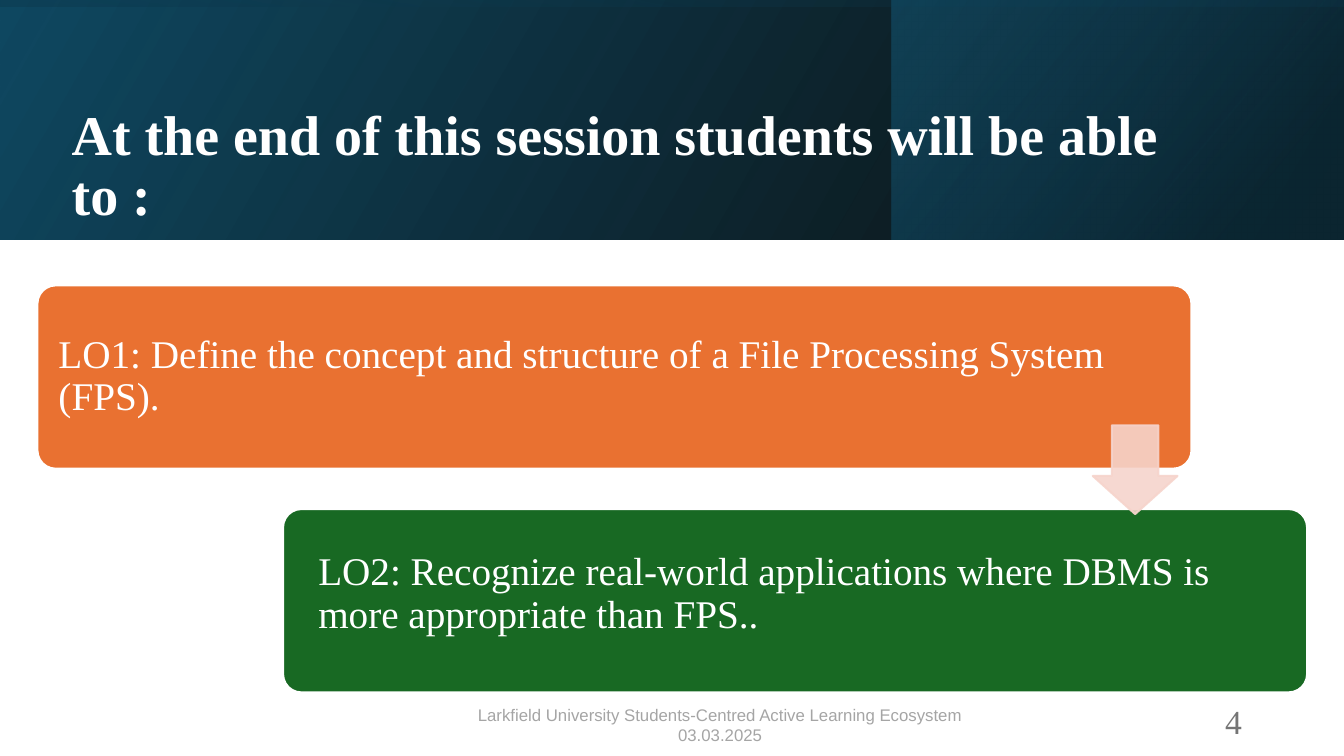
import copy

import pptx
import pptx.dml.color
import pptx.enum.shapes
import pptx.enum.text
import pptx.oxml
import pptx.oxml.ns
import pptx.util

Pt = pptx.util.Pt
SHAPE = pptx.enum.shapes.MSO_SHAPE
ALIGN = pptx.enum.text.PP_ALIGN
ANCHOR = pptx.enum.text.MSO_ANCHOR
SERIF = "Times New Roman"
WIDE, HIGH = 960, 540


def tone(code):
    return pptx.dml.color.RGBColor.from_string(code)


def fade(shape, alphas):
    tag = pptx.oxml.ns.qn("a:srgbClr")
    for node, alpha in zip(list(shape.element.spPr.iter(tag)), alphas):
        mark = pptx.oxml.parse_xml(
            f'<a:alpha {pptx.oxml.ns.nsdecls("a")} val="{alpha * 1000}"/>')
        node.append(mark)


def write(frame, text, size, color, font=SERIF, bold=False, align=ALIGN.LEFT,
          anchor=ANCHOR.MIDDLE, space=1.0, pads=(7.2, 3.6, 7.2, 3.6)):
    frame.word_wrap = True
    frame.auto_size = pptx.enum.text.MSO_AUTO_SIZE.NONE
    frame.vertical_anchor = anchor
    (frame.margin_left, frame.margin_top,
     frame.margin_right, frame.margin_bottom) = map(Pt, pads)
    for at, line in enumerate(text.split("\n")):
        para = frame.paragraphs[0] if at == 0 else frame.add_paragraph()
        para.alignment = align
        para.line_spacing = space
        run = para.add_run()
        run.text = line
        run.font.name, run.font.size, run.font.bold = font, Pt(size), bold
        run.font.color.rgb = tone(color)


def label(slide, box, text, **form):
    frame = slide.shapes.add_textbox(*map(Pt, box)).text_frame
    write(frame, text, **form)


def draw(slide, kind, box, adjust=()):
    shape = slide.shapes.add_shape(kind, *map(Pt, box))
    shape.shadow.inherit = False
    for at, value in enumerate(adjust):
        shape.adjustments[at] = value
    return shape


def tint(shape, color, line):
    shape.fill.solid()
    shape.fill.fore_color.rgb = tone(color)
    shape.line.color.rgb = tone(line)
    shape.line.width = Pt(1.5)


def blend(slide, box, stops, angle, turn=0):
    shape = draw(slide, SHAPE.RECTANGLE, box)
    shape.line.fill.background()
    shape.rotation = turn
    shape.element.spPr.xfrm.set("flipH", "1")
    shape.fill.gradient()
    shape.fill.gradient_angle = 360 - angle
    items = shape.element.spPr.find(".//" + pptx.oxml.ns.qn("a:gsLst"))
    while len(items) < len(stops):
        items.append(copy.deepcopy(items[0]))
    for stop, (place, color, alpha) in zip(shape.fill.gradient_stops, stops):
        stop.position = place
        stop.color.rgb = tone(color)
    fade(shape, [alpha for place, color, alpha in stops])


def header(slide, box, text):
    left, top, width, height = box
    blend(slide, box, [(0, "000000", 95), (1, "0F4861", 100)], 330)
    side = 322.8
    blend(slide, (left + width - side, top, side, height),
          [(0, "0A3041", 67), (0.19, "0A3041", 67), (1, "156082", 47)], 320)
    shift = (width - height) / 2
    blend(slide, (left + shift, top - shift, height, width),
          [(0, "0F4861", 15), (0.23, "0F4861", 15),
           (0.99, "000000", 44), (1, "000000", 44)], 350, turn=270)
    title = slide.shapes.title
    title.left, title.top = Pt(left + 44), Pt(top + 87.2)
    title.width, title.height = Pt(830), Pt(64.8)
    write(title.text_frame, text, size=40, color="FFFFFF", bold=True, space=0.9)
    slide.shapes.element.append(title.element)


def card(slide, box, color, text, inset, width, foot=11.5):
    left, top, _, height = box
    tint(draw(slide, SHAPE.ROUNDED_RECTANGLE, box, [0.1]), color, "FFFFFF")
    label(slide, (left + inset, top + inset, width, height - 7.8), text,
          size=28, color="FFFFFF", space=0.9, pads=(11.5, 11.5, 11.5, foot))


def goals(slide, box):
    left, top, width, height = box
    tall = 131
    card(slide, (left, top, 824.4, tall), "E97131",
         "LO1: Define the concept and structure of a File Processing System (FPS).",
         3.6, 828)
    last = 731.5
    card(slide, (left + width - last, top + height - tall, last, tall), "186923",
         "LO2: Recognize real-world applications where DBMS is more appropriate than FPS..",
         13.7, 693.4, foot=40.5)
    arrow = draw(slide, SHAPE.DOWN_ARROW,
                 (left + 753.9, top + 100, 60.5, 63.4), [0.55, 0.45])
    tint(arrow, "F6D4CC", "F6D4CC")
    fade(arrow, [89, 89])


def footer(slide, box):
    left, top, width, height = box
    label(slide, (left + 507.6, top + 0.7, 216, 28.8), "4",
          size=24, color="757575", align=ALIGN.RIGHT)
    label(slide, box,
          "Larkfield University Students-Centred Active Learning Ecosystem\n03.03.2025",
          size=12, color="A5A5A5", font="Arial", align=ALIGN.CENTER,
          anchor=ANCHOR.TOP)


def main():
    deck = pptx.Presentation()
    deck.slide_width, deck.slide_height = Pt(WIDE), Pt(HIGH)
    slide = deck.slides.add_slide(deck.slide_layouts[5])
    header(slide, (0, 0, WIDE, 170.8),
           "At the end of this session students will be able to :")
    goals(slide, (26.7, 203.8, 907, 290.8))
    footer(slide, (170.6, 499.7, 687.6, 36))
    deck.save("out.pptx")


if __name__ == "__main__":
    main()
